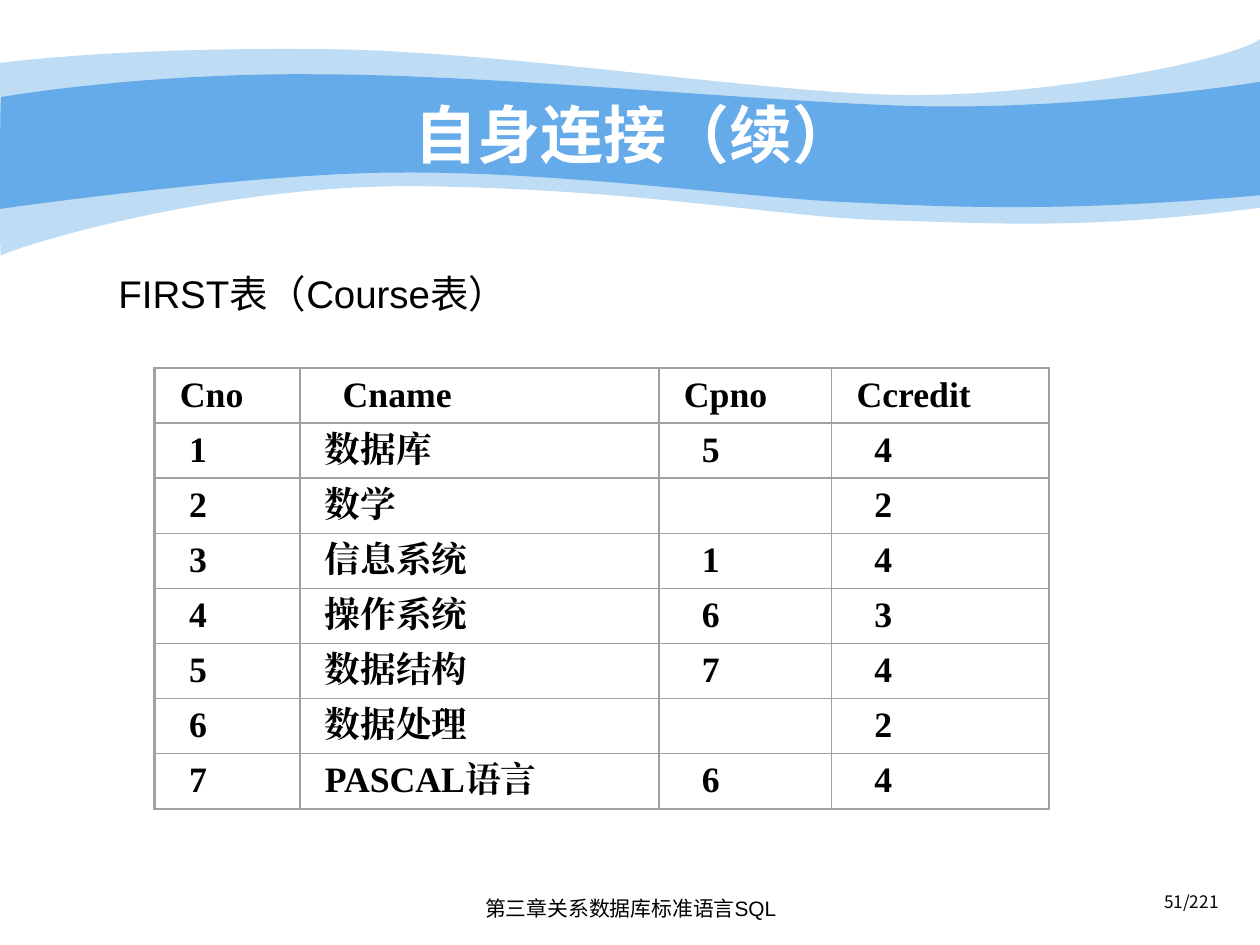
from dataclasses import dataclass

from lxml import etree
from pptx import Presentation
from pptx.dml.color import RGBColor
from pptx.enum.shapes import MSO_SHAPE
from pptx.enum.text import MSO_ANCHOR, PP_ALIGN
from pptx.oxml.ns import qn
from pptx.util import Inches, Pt

RECT = MSO_SHAPE.RECTANGLE
LEFT, MID, RIGHT = PP_ALIGN.LEFT, PP_ALIGN.CENTER, PP_ALIGN.RIGHT
TOP, CENTRE = MSO_ANCHOR.TOP, MSO_ANCHOR.MIDDLE
BLUE = RGBColor(0x65, 0xAA, 0xE9)
WHITE = RGBColor(0xFF, 0xFF, 0xFF)
BLACK = RGBColor(0, 0, 0)
GREY = RGBColor(0xA0, 0xA0, 0xA0)
SANS, SERIF, HAN = "Arial", "Times New Roman", "Noto Sans CJK SC"


@dataclass
class Wave:
    """Closed outline: a six-number segment is a curve, a two-number one a line."""
    start: tuple
    segs: list
    alpha: int


@dataclass
class Label:
    text: str
    box: tuple
    size: float
    font: str = SANS
    asian: str = HAN
    color: RGBColor = BLACK
    bold: bool = False
    align: PP_ALIGN = LEFT
    anchor: MSO_ANCHOR = TOP
    lead: float = 1.0
    inset: tuple = (0.1, 0.05)


WAVES = [
    Wave((0, 0.5), [
        (0.24, 0.47, 1.07, 0.38, 2.47, 0.39), (3.86, 0.39, 5.75, 0.7, 6.99, 0.75),
        (8.22, 0.8, 9.8, 0.47, 10, 0.31), (10, 1.65),
        (8.58, 1.83, 7.87, 1.77, 7.05, 1.75), (6.22, 1.73, 5.15, 1.51, 3.43, 1.48),
        (1.72, 1.44, 0.04, 1.99, 0.01, 2.03), (-0.01, 2.08, 0, 0.75, 0, 0.5)], 41),
    Wave((0.01, 0.77), [
        (0.02, 0.77, 1.1, 0.58, 2.48, 0.59), (3.86, 0.59, 5.95, 0.8, 7.18, 0.84),
        (8.41, 0.88, 9.76, 0.69, 10, 0.65), (10, 1.55),
        (8.53, 1.68, 7.65, 1.65, 6.82, 1.61), (5.99, 1.58, 4.47, 1.36, 3.17, 1.37),
        (2.03, 1.37, -0.02, 1.66, -0.01, 1.66), (0, 1.66, 0, 0.77, 0.01, 0.77)], 100),
]

LABELS = [
    Label("51/221", (7.44, 7.06, 2.33, 0.29), 9.8, HAN, align=RIGHT, lead=0.8),
    Label("第三章关系数据库标准语言SQL", (3.42, 7.06, 3.17, 0.32), 11.9, align=MID),
    Label("自身连接（续）", (1, 0.75, 8.08, 0.62), 36, color=WHITE, bold=True,
          align=MID, anchor=CENTRE),
    Label("FIRST表（Course表）", (0.5, 2, 9, 1.27), 22, inset=(0.44, 0.14)),
]

COURSES = [
    ("Cno", "Cname", "Cpno", "Ccredit"),
    ("1", "数据库", "5", "4"),
    ("2", "数学", "", "2"),
    ("3", "信息系统", "1", "4"),
    ("4", "操作系统", "6", "3"),
    ("5", "数据结构", "7", "4"),
    ("6", "数据处理", "", "2"),
    ("7", "PASCAL语言", "6", "4"),
]
GRID_X, GRID_Y, HEIGHT = 1.23, 2.92, 3.5
WIDTHS = (1.15, 2.85, 1.37, 1.72)
ROW = HEIGHT / len(COURSES)
GAP = 0.1
HEAD_PADS = (0.1, 0.24, 0.1, 0.1)
BODY_PADS = (0.17, 0.1, 0.24, 0.24)


def draw_wave(slide, wave: Wave) -> None:
    """Lay down all the nodes, then join each three into one curve."""
    nodes = [seg[i:i + 2] for seg in wave.segs for i in range(0, len(seg), 2)]
    pen = slide.shapes.build_freeform(*map(Inches, wave.start))
    pen.add_line_segments([(Inches(x), Inches(y)) for x, y in nodes], close=True)
    shape = pen.convert_to_shape()
    lines = iter(list(shape._element.iter(qn("a:lnTo"))))
    for seg in wave.segs:
        steps = [next(lines) for _ in range(len(seg) // 2)]
        if len(steps) == 3:
            bend = etree.Element(qn("a:cubicBezTo"))
            steps[0].addprevious(bend)
            for step in steps:
                bend.append(step[0])
                step.getparent().remove(step)
    shape.shadow.inherit = False
    shape.fill.solid()
    shape.fill.fore_color.rgb = BLUE
    shape.line.fill.background()
    if wave.alpha < 100:
        tint = next(shape._element.spPr.iter(qn("a:srgbClr")))
        etree.SubElement(tint, qn("a:alpha"), val=str(wave.alpha * 1000))


def draw_label(slide, label: Label) -> None:
    frame = slide.shapes.add_textbox(*map(Inches, label.box)).text_frame
    frame.word_wrap = True
    frame.vertical_anchor = label.anchor
    frame.margin_left, frame.margin_top = map(Inches, label.inset)
    para = frame.paragraphs[0]
    para.alignment = label.align
    para.line_spacing = label.lead
    run = para.add_run()
    run.text = label.text
    font = run.font
    font.size, font.bold, font.name = Pt(label.size), label.bold, label.font
    font.color.rgb = label.color
    etree.SubElement(run._r.get_or_add_rPr(), qn("a:ea"), typeface=label.asian)


def draw_frame(slide, box: tuple, width: float) -> None:
    shape = slide.shapes.add_shape(RECT, *map(Inches, box))
    shape.shadow.inherit = False
    shape.fill.background()
    shape.line.color.rgb = GREY
    shape.line.width = Pt(width)


def draw_grid(slide) -> None:
    for r, row in enumerate(COURSES):
        pads = BODY_PADS if r else HEAD_PADS
        top = GRID_Y + r * ROW
        for c, (text, width) in enumerate(zip(row, WIDTHS)):
            left = GRID_X + sum(WIDTHS[:c])
            if text:
                box = (left + GAP, top, width - 2 * GAP, ROW)
                draw_label(slide, Label(text, box, 20.4, SERIF, SERIF, bold=True,
                                        anchor=CENTRE, lead=0.9,
                                        inset=(pads[c], 0.05)))
            draw_frame(slide, (left, top, width, ROW), 0)
    draw_frame(slide, (GRID_X - 0.01, GRID_Y, sum(WIDTHS) + 0.02, HEIGHT), 0.88)


def main() -> None:
    deck = Presentation()
    deck.slide_width, deck.slide_height = Inches(10), Inches(7.5)
    slide = deck.slides.add_slide(deck.slide_layouts[6])
    # Banner
    for wave in WAVES:
        draw_wave(slide, wave)
    # Footer, title and caption
    for label in LABELS:
        draw_label(slide, label)
    # Course grid
    draw_grid(slide)
    deck.save("out.pptx")


if __name__ == "__main__":
    main()
